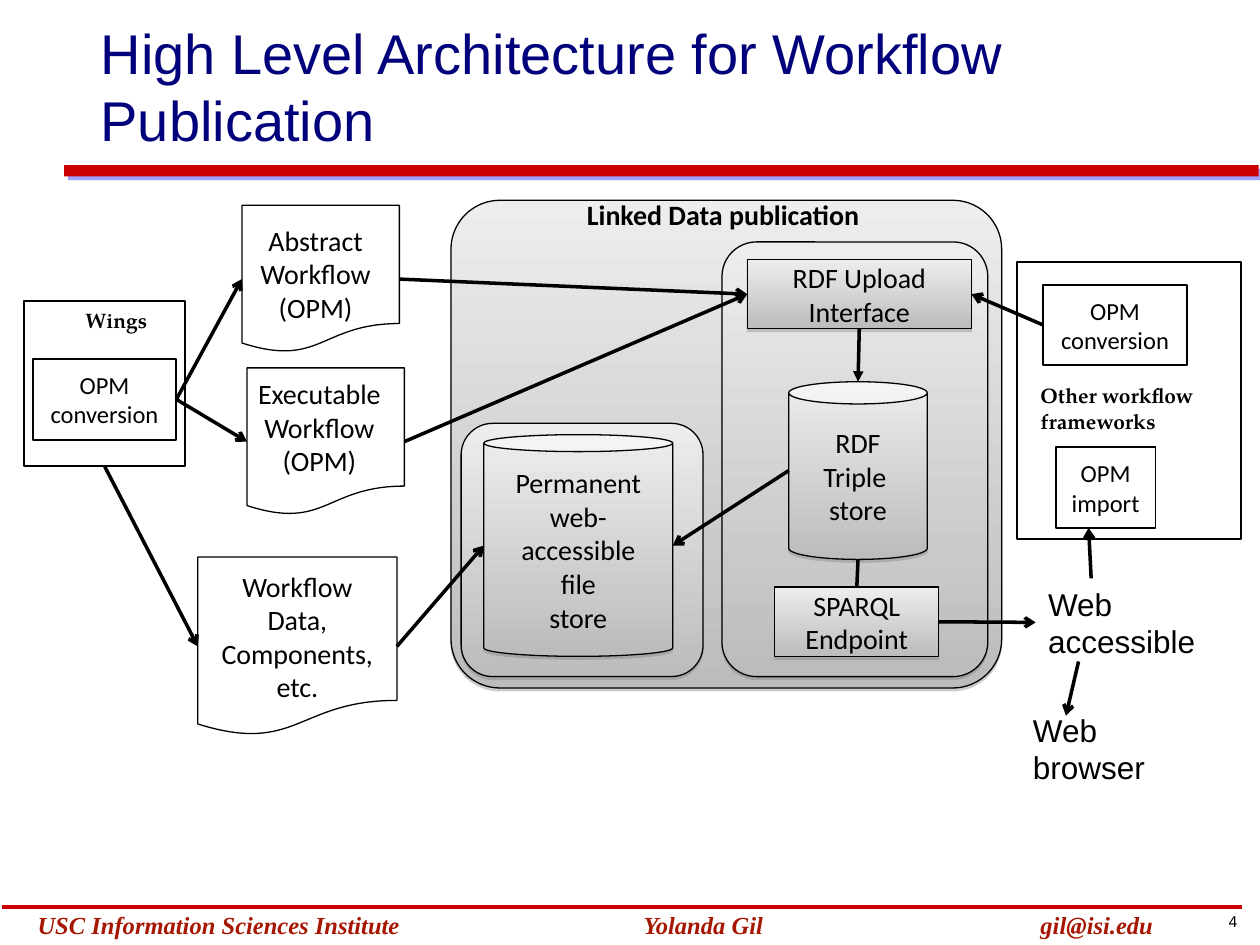
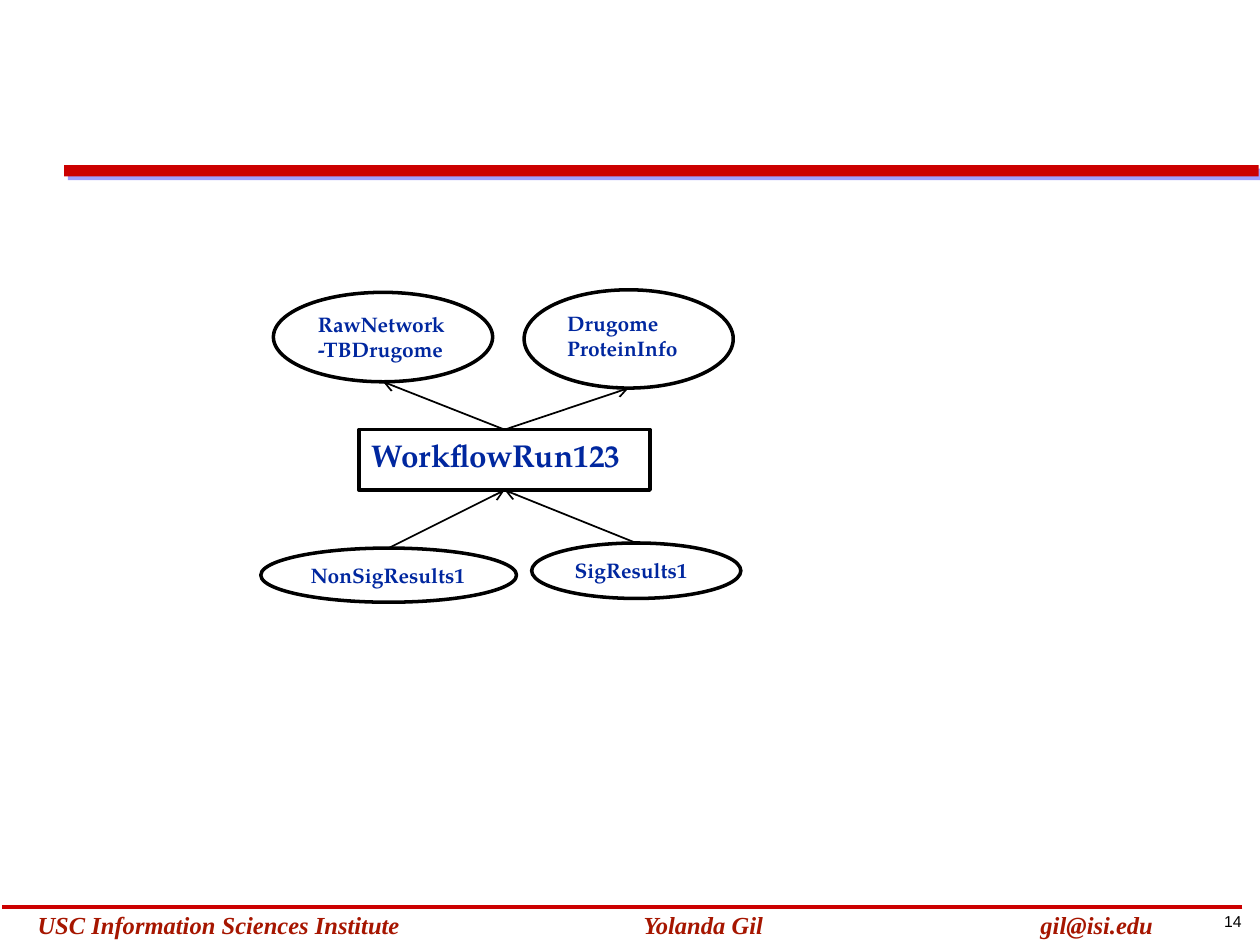
from dataclasses import dataclass

from lxml import etree
from pptx import Presentation
from pptx.dml.color import RGBColor
from pptx.enum import shapes, text
from pptx.oxml.ns import qn
from pptx.util import Inches, Pt

SHAPE = shapes.MSO_SHAPE
TOP, LEFT, BOTTOM, RIGHT = range(4)
GLUED = (SHAPE.RECTANGLE, SHAPE.FLOWCHART_DOCUMENT)


@dataclass(frozen=True)
class Theme:
    # Colours
    ink: str = "000000"
    paper: str = "FFFFFF"
    title: str = "00017B"
    rule: str = "CC0000"
    rule_shadow: str = "8080FF"
    footer: str = "A61600"
    node: str = "00279F"
    gray_top: str = "EDEDED"
    gray_bottom: str = "BCBCBC"
    gray_shadow: str = "808080"
    # Fonts
    sans: str = "Arial"
    body: str = "Calibri"
    serif: str = "TeX Gyre Pagella"
    footer_font: str = "Times New Roman"
    # Type sizes
    title_size: float = 32
    large: float = 18
    medium: float = 16
    small: float = 14
    label: float = 12
    number: float = 9


THEME = Theme()


# Formatting helpers
def rgb(value):
    return RGBColor.from_string(value)


def write_text(frame, content, *, size=THEME.medium, font=THEME.body,
               color=THEME.ink, bold=False, italic=False, centered=False,
               anchor=text.MSO_ANCHOR.TOP, wrap=True):
    """Fill a frame; content is one paragraph or a tuple of paragraphs."""
    frame.word_wrap = wrap
    frame.vertical_anchor = anchor
    lines = (content,) if isinstance(content, str) else content
    for index, line in enumerate(lines):
        paragraph = frame.add_paragraph() if index else frame.paragraphs[0]
        paragraph.text = line
        paragraph.alignment = (text.PP_ALIGN.CENTER if centered
                               else text.PP_ALIGN.LEFT)
        for line_break in paragraph._p.findall(qn("a:br")):
            etree.SubElement(line_break, qn("a:rPr"), sz=str(int(size * 100)))
        for run in paragraph.runs:
            run.font.size = Pt(size)
            run.font.name = font
            run.font.bold = bold
            run.font.italic = italic
            run.font.color.rgb = rgb(color)


def add_shadow(shape, color, alpha, distance, angle):
    effects = shape._element.spPr.find(qn("a:effectLst"))
    shadow = etree.SubElement(
        effects, qn("a:outerShdw"), blurRad="0", dist=str(Pt(distance)),
        dir=str(angle * 60000), algn="ctr", rotWithShape="0")
    shade = etree.SubElement(shadow, qn("a:srgbClr"), val=color)
    etree.SubElement(shade, qn("a:alpha"), val=str(alpha * 1000))


# Elements
def add_text(slide, box, content, **style):
    shape = slide.shapes.add_textbox(*map(Inches, box))
    write_text(shape.text_frame, content, **style)
    return shape


def add_shape(slide, kind, box, *, fill=None, line=THEME.ink, weight=1,
              adjust=None):
    shape = slide.shapes.add_shape(kind, *map(Inches, box))
    shape.shadow.inherit = False
    if adjust is not None:
        shape.adjustments[0] = adjust
    if fill:
        shape.fill.solid()
        shape.fill.fore_color.rgb = rgb(fill)
    else:
        shape.fill.background()
    if line:
        shape.line.color.rgb = rgb(line)
        shape.line.width = Pt(weight)
    else:
        shape.line.fill.background()
    return shape


def add_gray_shape(slide, kind, box, content=None, adjust=None):
    shape = add_shape(slide, kind, box, weight=0.75, adjust=adjust)
    shape.fill.gradient()
    shape.fill.gradient_angle = 270
    for stop, color, position in zip(shape.fill.gradient_stops,
                                     (THEME.gray_top, THEME.gray_bottom),
                                     (0, 1)):
        stop.color.rgb = rgb(color)
        stop.position = position
    add_shadow(shape, THEME.gray_shadow, 38, 1.6, 90)
    if content:
        write_text(shape.text_frame, content, centered=True,
                   anchor=text.MSO_ANCHOR.MIDDLE)
    return shape


def add_opm_box(slide, box, content):
    shape = add_shape(slide, SHAPE.RECTANGLE, box, fill=THEME.paper)
    write_text(shape.text_frame, content, size=THEME.small, centered=True,
               anchor=text.MSO_ANCHOR.MIDDLE)
    return shape


def add_document(slide, box, text_box, content):
    add_text(slide, text_box, content, centered=True,
             anchor=text.MSO_ANCHOR.MIDDLE)
    return add_shape(slide, SHAPE.FLOWCHART_DOCUMENT, box, weight=0.75)


def add_node(slide, kind, box, content, size=THEME.label):
    shape = add_shape(slide, kind, box, fill=THEME.paper, weight=2)
    write_text(shape.text_frame, content, size=size, font=THEME.serif,
               color=THEME.node, bold=True)
    return shape


def end_point(end):
    """Position of an end given as (x, y) in inches or as (shape, side)."""
    target, side = end
    if isinstance(target, (int, float)):
        return Inches(target), Inches(side)
    across, down = {TOP: (1, 0), LEFT: (0, 1),
                    BOTTOM: (1, 2), RIGHT: (2, 1)}[side]
    return (target.left + target.width * across // 2,
            target.top + target.height * down // 2)


def add_link(slide, start, end, *, head="arrow", weight=2, color=THEME.ink):
    link = slide.shapes.add_connector(shapes.MSO_CONNECTOR.STRAIGHT,
                                      *end_point(start), *end_point(end))
    for (target, side), join in ((start, link.begin_connect),
                                 (end, link.end_connect)):
        if getattr(target, "auto_shape_type", None) in GLUED:
            join(target, side)
    link.line.color.rgb = rgb(color)
    link.line.width = Pt(weight)
    properties = link._element.spPr
    if head:
        etree.SubElement(properties.find(qn("a:ln")), qn("a:tailEnd"),
                         type=head)
    etree.SubElement(properties, qn("a:effectLst"))
    return link


# Shared slide frame: title rule, footer and page number
def add_framed_slide(presentation, number, title=None):
    slide = presentation.slides.add_slide(presentation.slide_layouts[6])
    rule = add_shape(slide, SHAPE.RECTANGLE, (0.51, 1.31, 9.48, 0.09),
                     fill=THEME.rule, line=None)
    add_shadow(rule, THEME.rule_shadow, 75, 3, 45)
    add_text(slide, (9.4, 7.19, 0.77, 0.25), str(number), size=THEME.number,
             font=THEME.sans, centered=True, wrap=False)
    add_link(slide, (9.86, 7.2), (0.02, 7.2), head=None, color=THEME.rule)
    for left, width, content in (
            (5.01, 2.01, "Yolanda Gil"),
            (0.2, 3.2, "USC Information Sciences Institute"),
            (8.16, 1.84, "gil@isi.edu")):
        add_text(slide, (left, 7.17, width, 0.33), content, size=THEME.small,
                 font=THEME.footer_font, color=THEME.footer, bold=True,
                 italic=True, wrap=False)
    if title:
        add_text(slide, (0.7, 0, 9.08, 1.26), title, size=THEME.title_size,
                 font=THEME.sans, color=THEME.title,
                 anchor=text.MSO_ANCHOR.BOTTOM)
    return slide


def build_architecture(presentation):
    slide = add_framed_slide(
        presentation, 4, "High Level Architecture for Workflow Publication")

    # Publication area with its stores and interfaces
    for box, rounding in (((3.58, 1.59, 4.37, 3.87), 0.1),
                          ((3.66, 3.36, 1.92, 2.01), 0.13),
                          ((5.73, 1.92, 2.11, 3.45), 0.13)):
        add_gray_shape(slide, SHAPE.ROUNDED_RECTANGLE, box, adjust=rounding)
    triple_store = add_gray_shape(slide, SHAPE.CAN, (6.26, 3.03, 1.1, 1.41),
                                  ("RDF", "Triple \nstore"), 0.16)
    file_store = add_gray_shape(
        slide, SHAPE.CAN, (3.84, 3.45, 1.5, 1.76),
        ("Permanent\nweb-accessible", "file\nstore"), 0.09)
    upload = add_gray_shape(slide, SHAPE.RECTANGLE, (5.93, 2.06, 1.78, 0.55),
                            "RDF Upload Interface")
    endpoint = add_gray_shape(slide, SHAPE.RECTANGLE, (6.15, 4.66, 1.3, 0.55),
                              "SPARQL Endpoint")
    add_text(slide, (4.56, 1.52, 2.37, 0.37), "Linked Data publication",
             bold=True, wrap=False)

    # Workflow documents
    abstract = add_document(slide, (1.92, 1.63, 1.25, 1.17),
                            (1.84, 1.63, 1.33, 1.08),
                            ("Abstract Workflow", "(OPM)"))
    executable = add_document(slide, (1.96, 2.92, 1.25, 1.17),
                              (1.87, 2.85, 1.33, 1.08),
                              ("Executable\nWorkflow", "(OPM)"))
    data = add_document(slide, (1.57, 4.42, 1.58, 1.42),
                        (1.57, 4.34, 1.58, 1.42),
                        ("Workflow", "Data, Components, etc."))

    # Workflow systems on both sides
    wings = add_shape(slide, SHAPE.RECTANGLE, (0.19, 2.39, 1.28, 1.31))
    add_shape(slide, SHAPE.RECTANGLE, (8.07, 2.08, 1.78, 2.2))
    for box, content in (((0.58, 2.39, 0.76, 0.3), "Wings"),
                         ((8.16, 2.99, 1.84, 0.5),
                          "Other workflow frameworks")):
        add_text(slide, box, content, size=THEME.label, font=THEME.serif,
                 bold=True)
    wings_opm = add_opm_box(slide, (0.26, 2.85, 1.14, 0.64),
                            "OPM\nconversion")
    other_opm = add_opm_box(slide, (8.28, 2.26, 1.14, 0.64),
                            "OPM\nconversion")
    add_opm_box(slide, (8.38, 3.55, 0.79, 0.64), "OPM\nimport")

    # Web access
    for box, content in (((8.22, 4.59, 1.86, 0.7), "Web accessible"),
                         ((8.1, 5.59, 1.47, 0.7), "Web browser")):
        add_text(slide, box, content, size=THEME.large, font=THEME.sans)

    # Data flow
    add_link(slide, (upload, BOTTOM), (triple_store, TOP), head="triangle")
    add_link(slide, (triple_store, BOTTOM), (endpoint, TOP), head=None)
    for start, end in (
            ((triple_store, LEFT), (file_store, RIGHT)),
            ((wings, BOTTOM), (data, LEFT)),
            ((wings_opm, RIGHT), (abstract, LEFT)),
            ((wings_opm, RIGHT), (executable, LEFT)),
            ((abstract, RIGHT), (upload, LEFT)),
            ((executable, RIGHT), (upload, LEFT)),
            ((data, RIGHT), (file_store, LEFT)),
            ((other_opm, LEFT), (upload, RIGHT)),
            ((endpoint, RIGHT), (8.22, 4.94)),
            ((8.66, 4.59), (8.64, 4.19)),
            ((8.56, 5.25), (8.46, 5.68))):
        add_link(slide, start, end)


def build_workflow_run(presentation):
    slide = add_framed_slide(presentation, 14)

    # Run with its inputs and results
    run = add_node(slide, SHAPE.RECTANGLE, (2.85, 3.41, 2.31, 0.48),
                   "WorkflowRun123", THEME.large)
    inputs = [add_node(slide, SHAPE.OVAL, box, content) for box, content in (
        ((2.17, 2.32, 1.74, 0.71), "RawNetwork-TBDrugome"),
        ((4.16, 2.3, 1.66, 0.78), "Drugome\nProteinInfo"))]
    results = [add_node(slide, SHAPE.OVAL, box, content) for box, content in (
        ((2.07, 4.35, 2.03, 0.43), "NonSigResults1"),
        ((4.22, 4.31, 1.66, 0.44), "SigResults1"))]

    # Dependencies
    for node in inputs:
        add_link(slide, (run, TOP), (node, BOTTOM), weight=1)
    for node in results:
        add_link(slide, (node, TOP), (run, BOTTOM), weight=1)


def main():
    presentation = Presentation()
    presentation.slide_width = Inches(10)
    presentation.slide_height = Inches(7.5)
    build_architecture(presentation)
    build_workflow_run(presentation)
    presentation.save("out.pptx")


if __name__ == "__main__":
    main()
